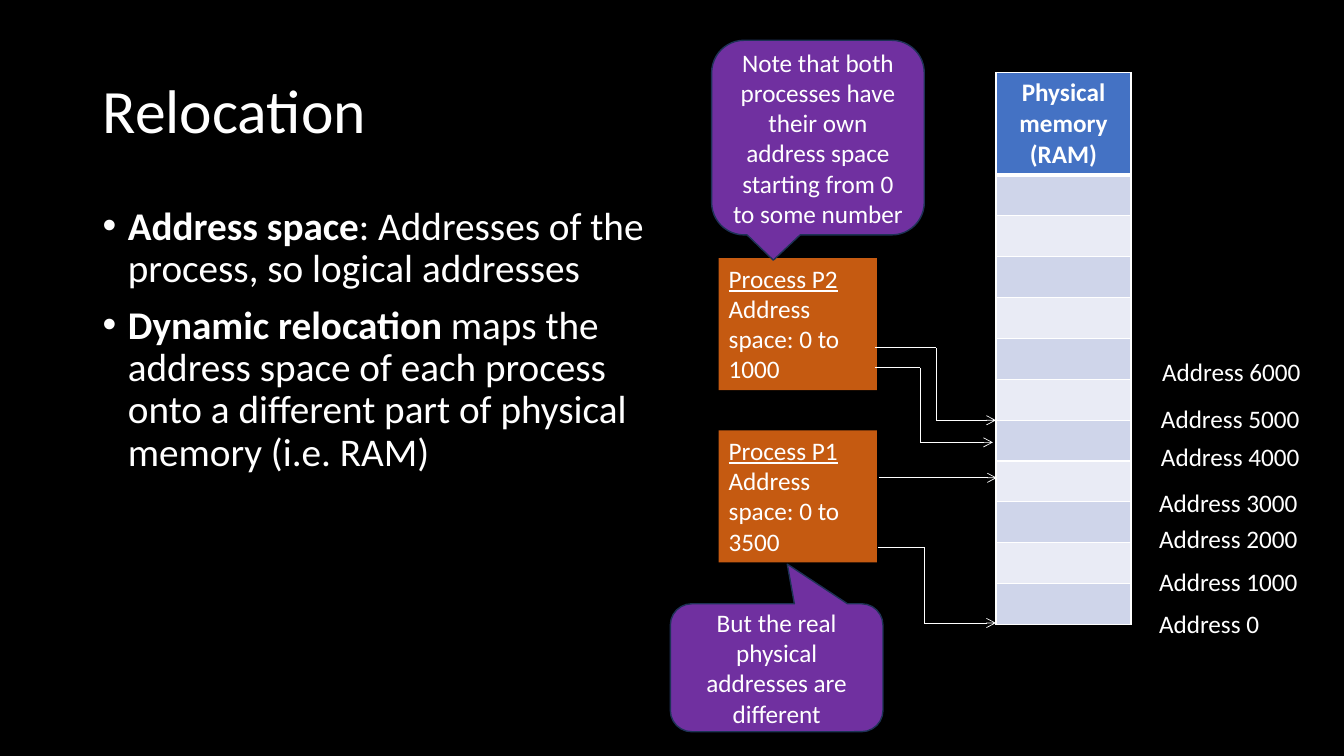
from dataclasses import dataclass

import pptx
import pptx.dml.color
import pptx.enum.shapes
import pptx.enum.text
import pptx.oxml.ns
import pptx.util
from lxml import etree

Pt = pptx.util.Pt
RGBColor = pptx.dml.color.RGBColor
Align = pptx.enum.text.PP_ALIGN
Anchor = pptx.enum.text.MSO_ANCHOR
ShapeKind = pptx.enum.shapes.MSO_SHAPE
qn = pptx.oxml.ns.qn

BLACK = RGBColor(0x00, 0x00, 0x00)
WHITE = RGBColor(0xFF, 0xFF, 0xFF)
ORANGE = RGBColor(0xC5, 0x5A, 0x11)
PURPLE = RGBColor(0x70, 0x30, 0xA0)
NAVY = RGBColor(0x1E, 0x32, 0x56)
HEADER_BLUE = RGBColor(0x44, 0x72, 0xC4)
BAND_DARK = RGBColor(0xCF, 0xD5, 0xEA)
BAND_LIGHT = RGBColor(0xE9, 0xEB, 0xF5)

MEMORY_ROWS = 11
HEADER_HEIGHT = 73
ROW_HEIGHT = 29.2


@dataclass(frozen=True)
class Box:
    left: float
    top: float
    width: float
    height: float

    def lengths(self) -> tuple:
        return Pt(self.left), Pt(self.top), Pt(self.width), Pt(self.height)


@dataclass(frozen=True)
class Process:
    name: str
    address_space: str
    box: Box


@dataclass(frozen=True)
class AddressLabel:
    address: int
    left: float
    top: float


@dataclass(frozen=True)
class Callout:
    text: str
    box: Box
    tip: tuple


PROCESSES = [
    Process("Process P2", "Address space: 0 to 1000", Box(513.4, 184.3, 113, 94.3)),
    Process("Process P1", "Address space: 0 to 3500", Box(513.4, 307.4, 113, 94.3)),
]
ADDRESS_LABELS = [
    AddressLabel(0, 820.8, 430.6),
    AddressLabel(1000, 820.8, 401),
    AddressLabel(2000, 820.8, 370.1),
    AddressLabel(3000, 820.8, 344.2),
    AddressLabel(4000, 822.2, 311.8),
    AddressLabel(5000, 822.2, 284.4),
    AddressLabel(6000, 823, 251.3),
]
# Each route is a list of corner points ending in an arrowhead
ROUTES = [
    [(627.1, 391), (660.2, 391), (660.2, 445), (711.4, 445)],
    [(627.8, 341.3), (712, 341.3)],
    [(625, 262.6), (657.4, 262.6), (657.4, 316), (709.2, 316)],
    [(625, 248.4), (668.9, 248.4), (668.9, 300.2), (711.4, 300.2)],
]
CALLOUTS = [
    Callout("Note that both processes have their own address space starting from 0 to some number",
            Box(508.3, 28.8, 151.9, 139), (-0.21, 0.63)),
    Callout("But the real physical addresses are different",
            Box(478.8, 431.3, 151.9, 91.4), (0.05, -0.81)),
]
BULLETS = [
    ("Address space", ": Addresses of the process, so logical addresses"),
    ("Dynamic relocation", " maps the address space of each process onto a different part "
                           "of physical memory (i.e. RAM)"),
]


def add_run(paragraph, text: str, size: float = 18, bold: bool = False,
            underline: bool = False) -> None:
    run = paragraph.add_run()
    run.text = text
    run.font.name = "Calibri"
    run.font.size = Pt(size)
    run.font.bold = bold
    run.font.underline = underline
    run.font.color.rgb = WHITE


def place(shape, box: Box) -> None:
    shape.left, shape.top, shape.width, shape.height = box.lengths()


def add_title(slide) -> None:
    title = slide.shapes.title
    place(title, Box(66.2, 28.8, 828, 104.4))
    title.text_frame.vertical_anchor = Anchor.MIDDLE
    title.text_frame.auto_size = pptx.enum.text.MSO_AUTO_SIZE.NONE
    paragraph = title.text_frame.paragraphs[0]
    paragraph.alignment = Align.LEFT
    paragraph.line_spacing = 0.9
    add_run(paragraph, "Relocation", 44)


def add_bullets(slide) -> None:
    body = slide.placeholders[1]
    place(body, Box(66.2, 144, 408.2, 342.7))
    frame = body.text_frame
    frame.auto_size = pptx.enum.text.MSO_AUTO_SIZE.NONE
    for index, (term, explanation) in enumerate(BULLETS):
        paragraph = frame.add_paragraph() if index else frame.paragraphs[0]
        paragraph.line_spacing = 0.9
        paragraph.space_before = Pt(10 if index else 0)
        properties = paragraph._p.get_or_add_pPr()
        properties.set("marL", str(Pt(18)))
        properties.set("indent", str(Pt(-18)))
        etree.SubElement(properties, qn("a:buFont"), typeface="Arial")
        etree.SubElement(properties, qn("a:buChar"), char="•")
        add_run(paragraph, term, 28, bold=True)
        add_run(paragraph, explanation, 28)


def style_cell(cell, color: RGBColor, top: float, bottom: float) -> None:
    properties = cell._tc.get_or_add_tcPr()
    for side, width in (("L", 1), ("R", 1), ("T", top), ("B", bottom)):
        border = etree.SubElement(properties, qn(f"a:ln{side}"), w=str(Pt(width)))
        fill = etree.SubElement(border, qn("a:solidFill"))
        etree.SubElement(fill, qn("a:srgbClr"), val=str(WHITE))
    cell.fill.solid()
    cell.fill.fore_color.rgb = color


def add_memory_table(slide) -> None:
    box = Box(711.4, 51.8, 96.5, HEADER_HEIGHT + MEMORY_ROWS * ROW_HEIGHT)
    table = slide.shapes.add_table(MEMORY_ROWS + 1, 1, *box.lengths()).table
    for index, row in enumerate(table.rows):
        row.height = Pt(ROW_HEIGHT if index else HEADER_HEIGHT)
        band = BAND_DARK if index % 2 else BAND_LIGHT
        style_cell(row.cells[0], band if index else HEADER_BLUE,
                   top=3 if index == 1 else 1, bottom=1 if index else 3)
    paragraph = table.cell(0, 0).text_frame.paragraphs[0]
    paragraph.alignment = Align.CENTER
    add_run(paragraph, "Physical memory (RAM)", bold=True)


def add_filled_shape(slide, kind, box: Box, color: RGBColor):
    shape = slide.shapes.add_shape(kind, *box.lengths())
    shape.shadow.inherit = False
    shape.fill.solid()
    shape.fill.fore_color.rgb = color
    shape.text_frame.word_wrap = True
    return shape


def add_process(slide, process: Process) -> None:
    shape = add_filled_shape(slide, ShapeKind.RECTANGLE, process.box, ORANGE)
    shape.line.fill.background()
    frame = shape.text_frame
    frame.vertical_anchor = Anchor.TOP
    add_run(frame.paragraphs[0], process.name, underline=True)
    add_run(frame.add_paragraph(), process.address_space)
    for paragraph in frame.paragraphs:
        paragraph.alignment = Align.LEFT


def add_address_label(slide, label: AddressLabel) -> None:
    box = Box(label.left, label.top, 128.2, 29)
    frame = slide.shapes.add_textbox(*box.lengths()).text_frame
    frame.word_wrap = True
    add_run(frame.paragraphs[0], f"Address {label.address}")


def add_route(slide, points: list) -> None:
    for start, end in zip(points, points[1:]):
        connector = slide.shapes.add_connector(
            pptx.enum.shapes.MSO_CONNECTOR.STRAIGHT, *map(Pt, start + end))
        connector.line.color.rgb = WHITE
        connector.line.width = Pt(0.5)
        etree.SubElement(connector._element.spPr, qn("a:effectLst"))
    etree.SubElement(connector.line._get_or_add_ln(), qn("a:tailEnd"), type="arrow")


def add_callout(slide, callout: Callout) -> None:
    shape = add_filled_shape(slide, ShapeKind.ROUNDED_RECTANGULAR_CALLOUT, callout.box, PURPLE)
    shape.adjustments[0], shape.adjustments[1] = callout.tip
    shape.line.color.rgb = NAVY
    shape.line.width = Pt(1)
    shape.text_frame.vertical_anchor = Anchor.MIDDLE
    paragraph = shape.text_frame.paragraphs[0]
    paragraph.alignment = Align.CENTER
    add_run(paragraph, callout.text)


def main() -> None:
    presentation = pptx.Presentation()
    presentation.slide_width, presentation.slide_height = Pt(960), Pt(540)
    slide = presentation.slides.add_slide(presentation.slide_layouts[1])
    slide.background.fill.solid()
    slide.background.fill.fore_color.rgb = BLACK

    # Title and explanation
    add_title(slide)
    add_bullets(slide)

    # Memory, processes and the mapping between them
    add_memory_table(slide)
    for process in PROCESSES:
        add_process(slide, process)
    for label in ADDRESS_LABELS:
        add_address_label(slide, label)
    for route in ROUTES:
        add_route(slide, route)

    # Remarks
    for callout in CALLOUTS:
        add_callout(slide, callout)
    presentation.save("out.pptx")


if __name__ == "__main__":
    main()
